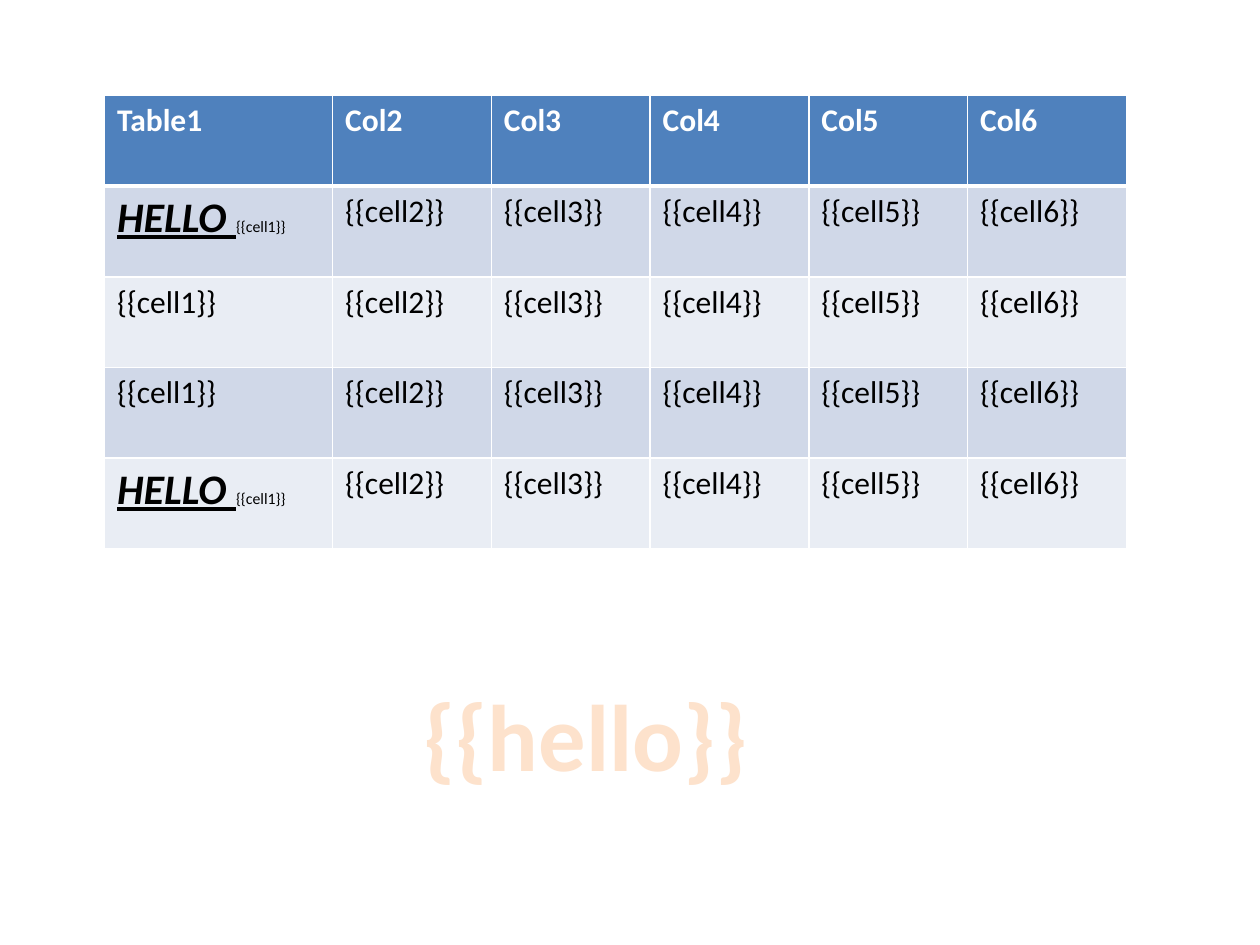
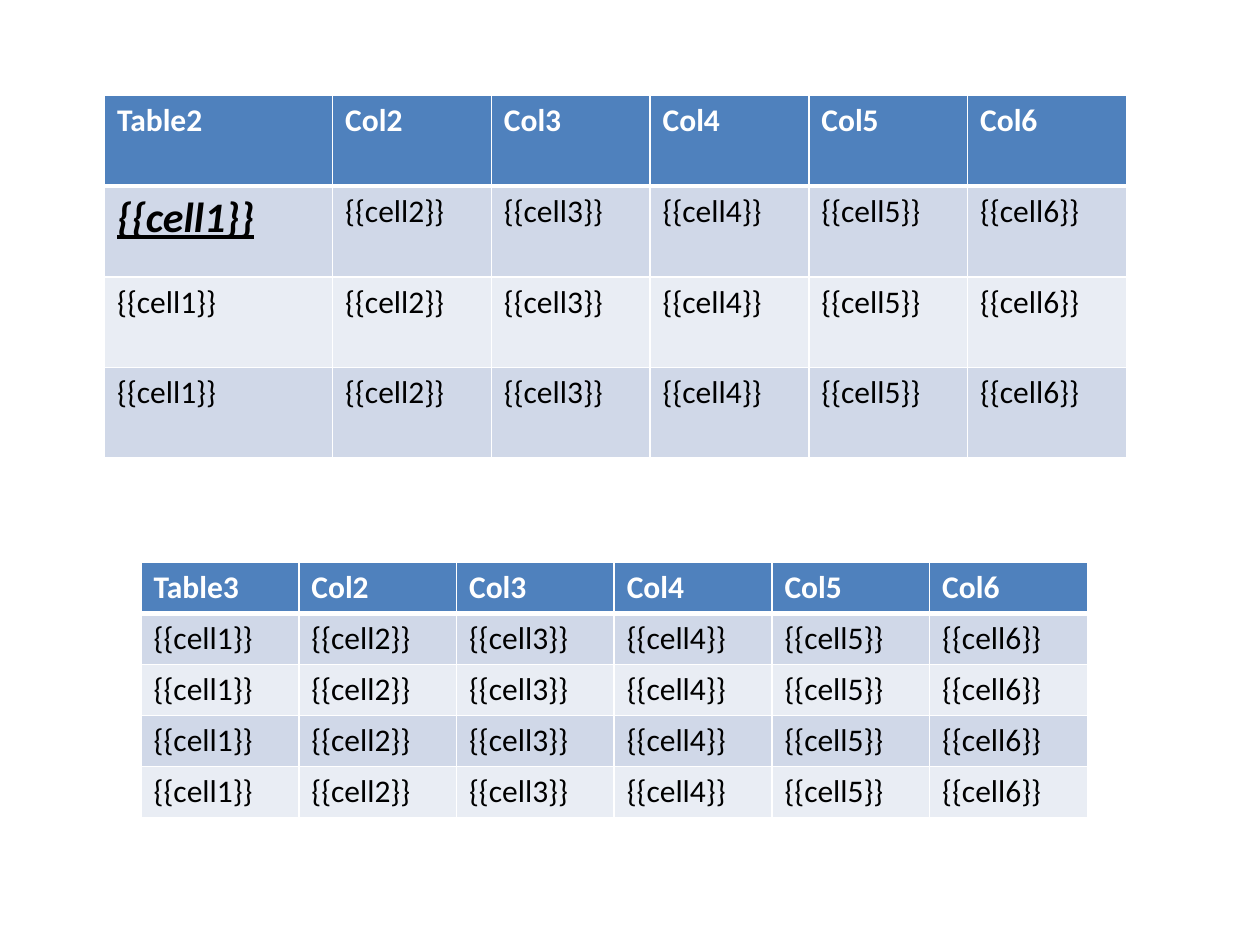
import pptx
import pptx.util
import pptx.dml.color
import pptx.enum.text
import pptx.oxml
import pptx.oxml.ns
import lxml.etree

RGBColor = pptx.dml.color.RGBColor
WHITE = RGBColor(0xFF, 0xFF, 0xFF)
BLACK = RGBColor(0, 0, 0)
HEADER = RGBColor(0x4F, 0x81, 0xBD)
BANDS = (RGBColor(0xD0, 0xD8, 0xE8), RGBColor(0xE9, 0xED, 0xF4))
PEACH = RGBColor(0xFD, 0xE2, 0xCC)
FONT = "Calibri"
WIDTH, HEIGHT = 10, 7.5
COLUMNS = 6
FIRST_COLUMN = 1.81 / 8.11
ROW = 0.72
LOUD = dict(size=24, bold=True, italic=True, underline=True)
GREETING = [("HELLO ", LOUD), ("{{cell1}}", dict(size=9))]


def add_text(para, text, size=18, color=BLACK, bold=False, italic=False, underline=False):
    """Append one formatted span to a paragraph and return it."""
    span = para.add_run()
    span.text = text
    font = span.font
    font.name, font.size = FONT, pptx.util.Pt(size)
    font.bold, font.italic, font.underline = bold, italic, underline
    font.color.rgb = color
    return span


def make_line(tag, color, points):
    """Return a solid line element with the given tag."""
    line = lxml.etree.Element(pptx.oxml.ns.qn(tag), w=str(pptx.util.Pt(points)))
    fill = lxml.etree.SubElement(line, pptx.oxml.ns.qn("a:solidFill"))
    lxml.etree.SubElement(fill, pptx.oxml.ns.qn("a:srgbClr"), val=str(color))
    return line


def style_cell(cell, fill, top, bottom):
    """Fill a cell and draw its white borders."""
    cell.fill.solid()
    cell.fill.fore_color.rgb = fill
    properties = cell._tc.get_or_add_tcPr()
    for index, (side, points) in enumerate((("L", 1), ("R", 1), ("T", top), ("B", bottom))):
        properties.insert(index, make_line("a:ln" + side, WHITE, points))


def add_grid(page, box, title, row_count, first_share=1 / COLUMNS, special=None):
    """Place a banded table in the box; special maps a row to its first cell's spans."""
    special = special or {}
    left, top, width, height = (pptx.util.Inches(value) for value in box)
    table = page.shapes.add_table(row_count, COLUMNS, left, top, width, height).table
    for index, column in enumerate(table.columns):
        share = first_share if index == 0 else (1 - first_share) / (COLUMNS - 1)
        column.width = int(width * share)
    for row in range(row_count):
        table.rows[row].height = int(height / row_count)
        for index in range(COLUMNS):
            cell = table.cell(row, index)
            para = cell.text_frame.paragraphs[0]
            if row == 0:
                style_cell(cell, HEADER, 1, 3)
                label = title if index == 0 else f"Col{index + 1}"
                add_text(para, label, color=WHITE, bold=True)
                continue
            style_cell(cell, BANDS[(row - 1) % 2], 3 if row == 1 else 1, 1)
            spans = [(f"{{{{cell{index + 1}}}}}", {})]
            if index == 0:
                spans = special.get(row, spans)
            for text, look in spans:
                add_text(para, text, **look)


def add_banner(page, box, text):
    """Place large outlined text centred in the box."""
    shape = page.shapes.add_textbox(*(pptx.util.Inches(value) for value in box))
    frame = shape.text_frame
    frame.word_wrap = True
    para = frame.paragraphs[0]
    para.alignment = pptx.enum.text.PP_ALIGN.CENTER
    span = add_text(para, text, size=54, color=PEACH, bold=True)
    span.font._element.insert(0, make_line("a:ln", PEACH, 1))


def upper_box(row_count):
    """Return the box of the upper table for a number of rows."""
    return WIDTH * 0.083, HEIGHT * 0.101, WIDTH * 0.811, row_count * ROW


def build_first(deck):
    """Build the page with one table and a banner."""
    page = deck.slides.add_slide(deck.slide_layouts[6])
    add_grid(page, upper_box(5), "Table1", 5, FIRST_COLUMN, {1: GREETING, 4: GREETING})
    add_banner(page, (WIDTH * 0.31, HEIGHT * 0.71, WIDTH * 0.31, HEIGHT * 0.12), "{{hello}}")


def build_second(deck):
    """Build the page with two tables."""
    page = deck.slides.add_slide(deck.slide_layouts[6])
    add_grid(page, upper_box(4), "Table2", 4, FIRST_COLUMN, {1: [("{{cell1}}", LOUD)]})
    lower = (WIDTH * 0.112, HEIGHT * 0.595, WIDTH * 0.751, HEIGHT * 0.27)
    add_grid(page, lower, "Table3", 5)


deck = pptx.Presentation()
deck.slide_width = pptx.util.Inches(WIDTH)
deck.slide_height = pptx.util.Inches(HEIGHT)
build_first(deck)
build_second(deck)
deck.save("out.pptx")
